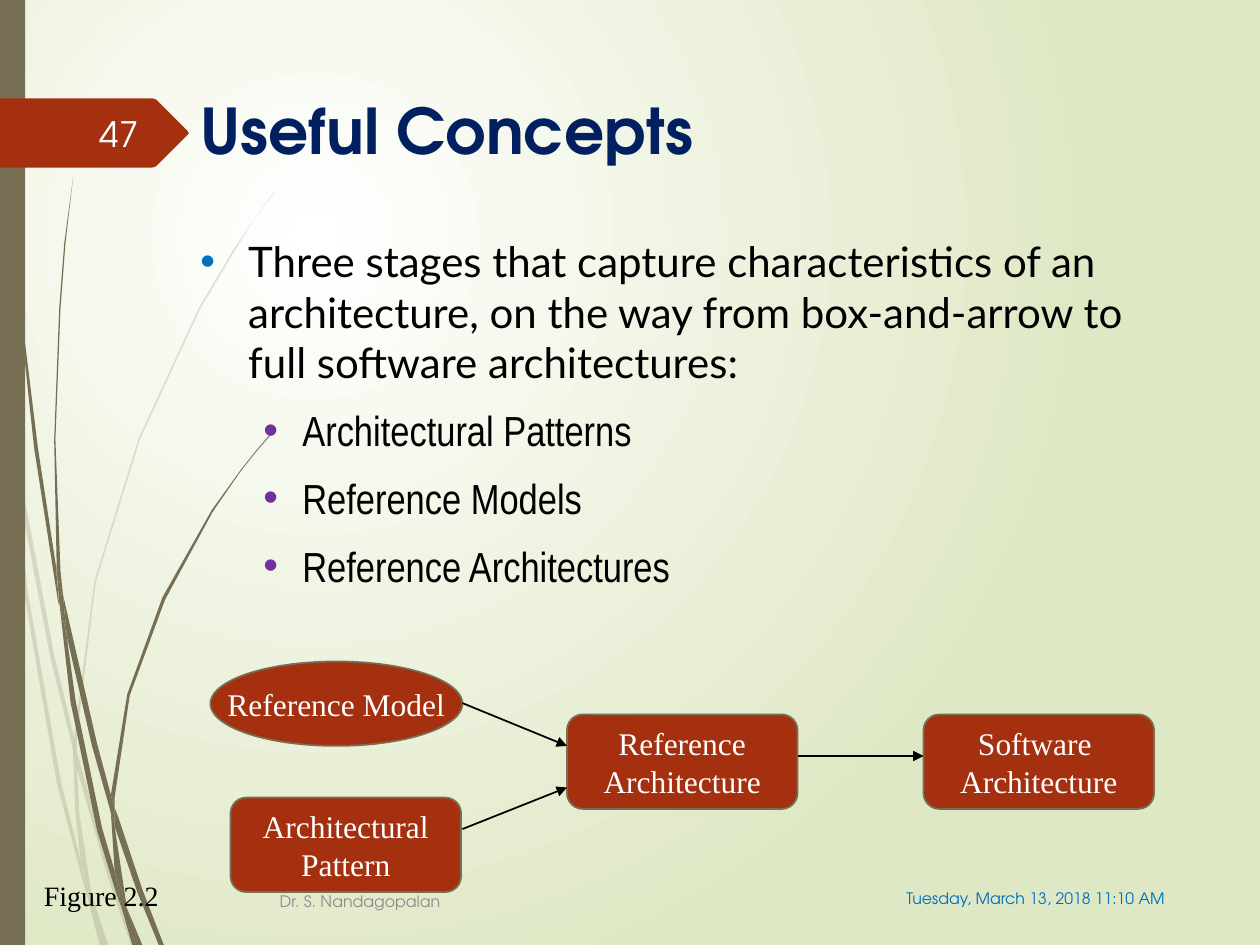
import pptx
import pptx.dml.color
import pptx.enum.shapes
import pptx.enum.text
import pptx.oxml
import pptx.oxml.ns
import pptx.util
from pptx.util import Inches

SHAPE = pptx.enum.shapes.MSO_SHAPE
ALIGN = pptx.enum.text.PP_ALIGN
ANCHOR = pptx.enum.text.MSO_ANCHOR
NAMESPACE = pptx.oxml.ns.nsdecls("a")
OLIVE, RUST, WHITE, BLACK, BLUE = "766F54", "A53010", "FFFFFF", "000000", "0070C0"
HEADING_FONT, SERIF = "TeX Gyre Adventor", "Times New Roman"

# Outlines of the grass blades, as corner points in inches
PALE_BLADES = [
    [(.08, 3.5), (.06, 3.22), (0, 2.82), (0, 2.99), (.07, 3.44)],
    [(.4, 5.22), (.59, 5.99), (.59, 5.86), (.43, 5.2), (.1, 3.45), (.12, 3.76)],
    [(.64, 6.07), (.61, 5.96), (.61, 6.1), (.85, 6.94), (1.04, 7.5), (1.08, 7.5), (.88, 6.92)],
    [(.83, 7.5), (.86, 7.5), (.73, 7.11)],
    [(.64, 6.83), (.48, 6.19), (.22, 4.69), (.12, 3.76), (.08, 3.5), (.19, 4.7), (.45, 6.21),
     (.64, 6.93), (.7, 7.14), (.69, 7.07)],
    [(.58, 5.99), (.6, 6.46), (.64, 6.83), (.67, 6.92), (.73, 7.11), (.72, 7.06), (.63, 6.46),
     (.61, 6.1), (.61, 6.08)],
    [(.61, 5.84), (.76, 4.62), (1.11, 3.49), (1.59, 2.45), (1.87, 1.98), (2.01, 1.75),
     (2.17, 1.54), (2.17, 1.53), (2.01, 1.75), (1.86, 1.97), (1.58, 2.44), (1.1, 3.48),
     (.75, 4.61), (.59, 5.84), (.59, 5.86), (.61, 5.96)],
    [(.7, 7.14), (.79, 7.5), (.82, 7.5)],
    [(.61, 6.08), (.61, 6.1), (.61, 5.96), (.59, 5.86), (.58, 5.99)],
    [(.67, 6.92), (.65, 6.83), (.69, 7.07), (.7, 7.14), (.82, 7.5), (.83, 7.5), (.73, 7.11)],
]
DARK_BLADES = [
    [(.05, 1.1), (.14, 2.33), (.27, 3.55), (.46, 4.77), (.47, 4.81), (.45, 4.57), (.45, 4.53),
     (.3, 3.55), (.15, 2.32), (.06, 1.09), (.04, .48), (.03, 0), (.02, 0), (.03, .48)],
    [(.73, 5.92), (.88, 6.45), (.88, 6.33), (.88, 6.31), (.77, 5.9), (.5, 4.72), (.53, 5.05)],
    [(.94, 6.49), (.91, 6.41), (.91, 6.56), (1.09, 7.08), (1.26, 7.5), (1.3, 7.5), (1.13, 7.06)],
    [(.91, 6.91), (.81, 6.57), (.6, 5.56), (.53, 5.05), (.47, 4.77), (.56, 5.57), (.77, 6.59),
     (.92, 7.08), (.97, 7.22), (.96, 7.17)],
    [(.5, 4.72), (.48, 4.53), (.44, 3.49), (.48, 2.45), (.52, 1.93), (.58, 1.41), (.51, 1.93),
     (.47, 2.45), (.43, 3.49), (.45, 4.49), (.49, 4.72)],
    [(1.1, 7.5), (1.13, 7.5), (1, 7.19)],
    [(.47, 4.77), (.53, 5.05), (.5, 4.72), (.49, 4.72), (.45, 4.49), (.45, 4.53)],
    [(.91, 6.33), (1.03, 5.52), (1.31, 4.76), (1.69, 4.06), (1.91, 3.74), (2.03, 3.59),
     (2.16, 3.44), (2.15, 3.44), (2.03, 3.58), (1.91, 3.73), (1.68, 4.05), (1.29, 4.74),
     (1.01, 5.51), (.88, 6.31), (.91, 6.41)],
    [(.97, 7.22), (1.05, 7.5), (1.08, 7.5)],
    [(.88, 6.45), (.91, 6.91), (.96, 7.06), (1, 7.19), (1, 7.16), (.91, 6.56), (.9, 6.51)],
    [(.88, 6.45), (.9, 6.51), (.91, 6.56), (.91, 6.41), (.88, 6.31), (.88, 6.33)],
    [(.96, 7.06), (.91, 6.91), (.96, 7.17), (.97, 7.22), (1.08, 7.5), (1.1, 7.5), (1, 7.19)],
]
NUMBER_TAG = [(0, .78), (1.21, .78), (1.24, .79), (1.49, 1.04), (1.5, 1.06), (1.49, 1.07),
              (1.24, 1.32), (1.21, 1.33), (0, 1.33)]


def color(hex_string):
    return pptx.dml.color.RGBColor.from_string(hex_string)


def append_xml(parent, tag, attributes="", content=""):
    parent.append(pptx.oxml.parse_xml(f"<a:{tag} {NAMESPACE} {attributes}>{content}</a:{tag}>"))


def write_text(paragraph, text, size, font, fill, bold=False, align=ALIGN.LEFT):
    paragraph.alignment = align
    for index, line in enumerate(text.split("\n")):
        if index:
            paragraph.add_line_break()
        run = paragraph.add_run()
        run.text = line
        run.font.size = pptx.util.Pt(size)
        run.font.name = font
        run.font.bold = bold
        run.font.color.rgb = color(fill)


def paint(shape, fill, line=None):
    shape.shadow.inherit = False
    shape.fill.solid()
    shape.fill.fore_color.rgb = color(fill)
    if line:
        shape.line.color.rgb = color(line)
        shape.line.width = pptx.util.Pt(1)
    else:
        shape.line.fill.background()


def set_background(slide):
    """Radial gradient centred a quarter of the way in from the top left."""
    fill = slide.background.fill
    fill.gradient()
    for stop, hex_string in zip(fill.gradient_stops, (WHITE, "DFE8C4")):
        stop.color.rgb = color(hex_string)
    gradient = slide.element.find(".//" + pptx.oxml.ns.qn("a:gradFill"))
    gradient.remove(gradient.find(pptx.oxml.ns.qn("a:lin")))
    append_xml(gradient, "path", 'path="circle"',
               '<a:fillToRect l="50000" t="50000" r="100000" b="100000"/>')


def add_outline(slide, points, fill, opacity=100):
    corners = [(Inches(x), Inches(y)) for x, y in points]
    builder = slide.shapes.build_freeform(*corners[0])
    builder.add_line_segments(corners[1:], close=True)
    shape = builder.convert_to_shape()
    paint(shape, fill)
    if opacity < 100:
        solid_color = shape.element.spPr.find(".//" + pptx.oxml.ns.qn("a:srgbClr"))
        append_xml(solid_color, "alpha", f'val="{opacity * 1000}"')


def place_placeholder(slide, placeholder, left, top, width, height):
    """Position a placeholder above the decoration and return its text frame."""
    placeholder.left, placeholder.top = Inches(left), Inches(top)
    placeholder.width, placeholder.height = Inches(width), Inches(height)
    slide.shapes.element.append(placeholder.element)
    frame = placeholder.text_frame
    frame.auto_size = pptx.enum.text.MSO_AUTO_SIZE.NONE
    frame.vertical_anchor = ANCHOR.TOP
    return frame


def add_bullet(paragraph, text, level, font, bullet_color):
    write_text(paragraph, text, 24, font, BLACK)
    paragraph.level = level
    paragraph.space_before = pptx.util.Pt(10)
    margin, indent = ((.38, -.38), (.81, -.31))[level]
    properties = paragraph._p.get_or_add_pPr()
    properties.set("marL", str(Inches(margin)))
    properties.set("indent", str(Inches(indent)))
    append_xml(properties, "buClr", content=f'<a:srgbClr val="{bullet_color}"/>')
    append_xml(properties, "buFont", 'typeface="Arial"')
    append_xml(properties, "buChar", 'char="•"')


def add_label(slide, text, left, top, width, height, wrap=True, anchor=ANCHOR.MIDDLE, **style):
    box = slide.shapes.add_textbox(Inches(left), Inches(top), Inches(width), Inches(height))
    box.text_frame.word_wrap = wrap
    box.text_frame.vertical_anchor = anchor
    write_text(box.text_frame.paragraphs[0], text, **style)


def add_node(slide, kind, text, left, top, width, height):
    node = slide.shapes.add_shape(kind, Inches(left), Inches(top), Inches(width), Inches(height))
    paint(node, RUST, OLIVE)
    node.text_frame.word_wrap = False
    node.text_frame.vertical_anchor = ANCHOR.MIDDLE
    write_text(node.text_frame.paragraphs[0], text, 18, SERIF, WHITE, align=ALIGN.CENTER)


def add_arrow(slide, *ends):
    arrow = slide.shapes.add_connector(pptx.enum.shapes.MSO_CONNECTOR.STRAIGHT,
                                       *(Inches(value) for value in ends))
    arrow.line.color.rgb = color(BLACK)
    arrow.line.width = pptx.util.Pt(1)
    append_xml(arrow.line._get_or_add_ln(), "tailEnd", 'type="triangle"')
    append_xml(arrow.element.spPr, "effectLst")


def main():
    presentation = pptx.Presentation()
    presentation.slide_width, presentation.slide_height = Inches(10), Inches(7.5)
    slide = presentation.slides.add_slide(presentation.slide_layouts[1])
    title, body = slide.placeholders
    set_background(slide)
    for blade in PALE_BLADES:
        add_outline(slide, blade, OLIVE, opacity=20)
    for blade in DARK_BLADES:
        add_outline(slide, blade, OLIVE)
    side_bar = slide.shapes.add_shape(SHAPE.RECTANGLE, 0, 0, Inches(.2), Inches(7.5))
    paint(side_bar, OLIVE)
    add_outline(slide, NUMBER_TAG, RUST)

    frame = place_placeholder(slide, title, 1.49, .68, 7.85, 1.04)
    write_text(frame.paragraphs[0], "Useful Concepts", 36, HEADING_FONT, "002060", bold=True)
    frame = place_placeholder(slide, body, 1.49, 1.82, 7.85, 5.01)
    add_bullet(frame.paragraphs[0], "Three stages that capture characteristics of an architecture, "
               "on the way from box-and-arrow to full software architectures:", 0, "Lato", BLUE)
    for stage in ("Architectural Patterns", "Reference Models", "Reference Architectures"):
        add_bullet(frame.add_paragraph(), stage, 1, "Arial Narrow", "7030A0")

    add_label(slide, "Dr. S. Nandagopalan", 2.12, 6.95, 6.25, .4,
              size=9, font=HEADING_FONT, fill="8C8C8C")
    add_label(slide, "47", .56, .86, .64, .4,
              size=20, font=HEADING_FONT, fill="FEFFFF", align=ALIGN.RIGHT)
    add_node(slide, SHAPE.OVAL, "Reference Model", 1.67, 5.25, 2, .67)
    for text, left, top in (("Architectural\nPattern", 1.83, 6.33),
                            ("Reference\nArchitecture", 4.5, 5.67),
                            ("Software \nArchitecture", 7.33, 5.67)):
        add_node(slide, SHAPE.ROUNDED_RECTANGLE, text, left, top, 1.83, .75)
    for ends in ((3.67, 5.58, 4.5, 5.92), (3.67, 6.58, 4.5, 6.25), (6.33, 6, 7.33, 6)):
        add_arrow(slide, *ends)
    add_label(slide, "Figure 2.2", .25, 6.92, 1.12, .37, wrap=False, anchor=ANCHOR.TOP,
              size=16, font=SERIF, fill=BLACK)
    add_label(slide, "Tuesday, March 13, 2018 11:10 AM", 6.96, 6.95, 2.38, .36,
              size=9, font=HEADING_FONT, fill=BLUE, align=ALIGN.RIGHT)
    presentation.save("out.pptx")


if __name__ == "__main__":
    main()
